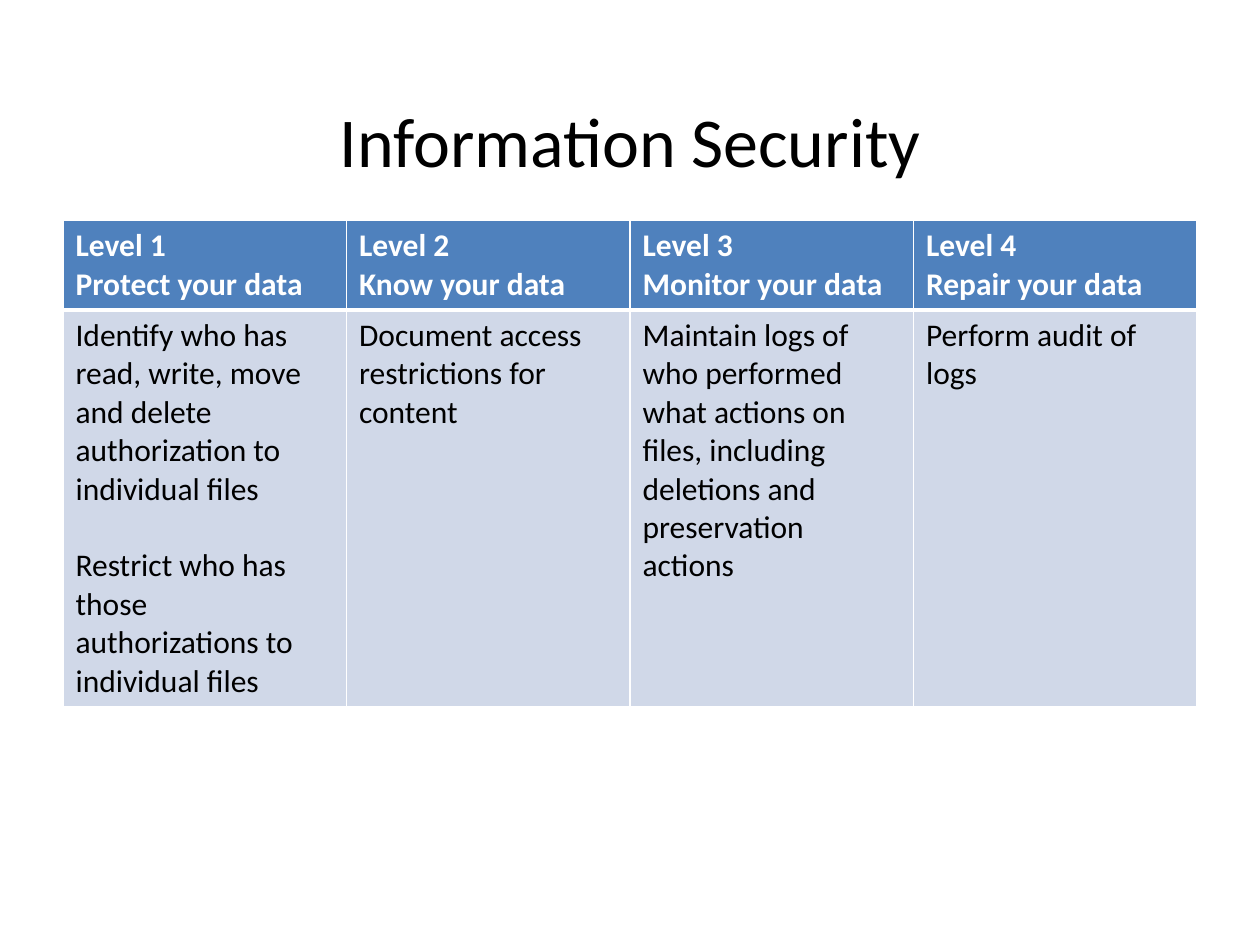
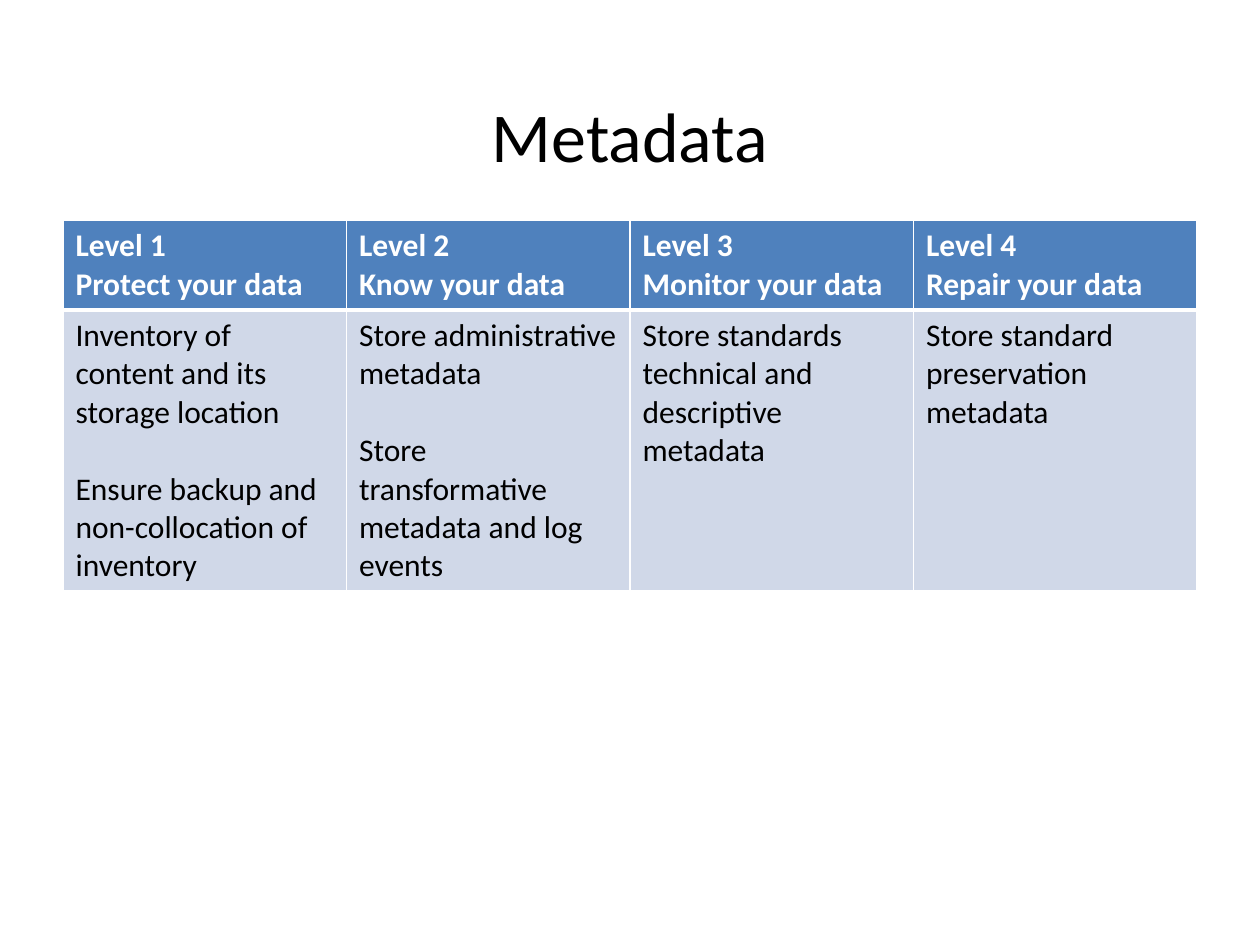
from lxml import etree
from pptx import Presentation
from pptx.dml.color import RGBColor
from pptx.enum.text import MSO_ANCHOR, PP_ALIGN
from pptx.oxml.ns import qn
from pptx.util import Inches, Pt

MIDDLE = MSO_ANCHOR.MIDDLE
CENTER = PP_ALIGN.CENTER

FONT = "Calibri"
COLORS = {"text": "000000", "header": "4F81BD", "body": "D0D8E8", "white": "FFFFFF"}
TITLE_SIZE, CELL_SIZE, ITEM_GAP = 40, 18, 22
LEFT, WIDTH, TABLE_TOP, HEADER_HEIGHT = 0.5, 9, 1.75, 0.71
HEADER_BORDERS = {"L": 1, "R": 1, "T": 1, "B": 3}
BODY_BORDERS = {"L": 1, "R": 1, "T": 3, "B": 1}

LEVELS = [
    ["Level 1", "Protect your data"],
    ["Level 2", "Know your data"],
    ["Level 3", "Monitor your data"],
    ["Level 4", "Repair your data"],
]

SLIDES = [
    {
        "title": "Information Security",
        "title_top": 0.67,
        "title_height": 0.88,
        "body_height": 3.15,
        "actions": [
            ["Identify who has read, write, move and delete authorization to individual files",
             "Restrict who has those authorizations to individual files"],
            ["Document access restrictions for content"],
            ["Maintain logs of who performed what actions on files, including deletions "
             "and preservation actions"],
            ["Perform audit of logs"],
        ],
    },
    {
        "title": "Metadata",
        "title_top": 0.58,
        "title_height": 0.97,
        "body_height": 2.23,
        "actions": [
            ["Inventory of content and its storage location",
             "Ensure backup and non-collocation of inventory"],
            ["Store administrative metadata",
             "Store transformative metadata and log events"],
            ["Store standards technical and descriptive metadata"],
            ["Store standard preservation metadata"],
        ],
    },
]


def add_run(p, text, size, color, bold=False):
    r = p.add_run()
    r.text = text
    r.font.name = FONT
    r.font.size = Pt(size)
    r.font.bold = bold
    r.font.color.rgb = RGBColor.from_string(COLORS[color])


def add_title(s, text, top, height):
    sp = s.shapes.add_textbox(Inches(LEFT), Inches(top), Inches(WIDTH), Inches(height))
    tf = sp.text_frame
    tf.word_wrap = True
    tf.vertical_anchor = MIDDLE
    p = tf.paragraphs[0]
    p.alignment = CENTER
    add_run(p, text, TITLE_SIZE, "text")


def set_borders(cell, borders):
    tcPr = cell._tc.get_or_add_tcPr()
    for i, (side, width) in enumerate(borders.items()):
        ln = etree.Element(qn(f"a:ln{side}"), w=str(Pt(width)))
        fill = etree.SubElement(ln, qn("a:solidFill"))
        etree.SubElement(fill, qn("a:srgbClr"), val=COLORS["white"])
        tcPr.insert(i, ln)


def fill_cell(cell, lines, fill, color, borders, bold=False, gap=0):
    cell.fill.solid()
    cell.fill.fore_color.rgb = RGBColor.from_string(COLORS[fill])
    set_borders(cell, borders)
    tf = cell.text_frame
    for i, line in enumerate(lines):
        p = tf.add_paragraph() if i else tf.paragraphs[0]
        if i and gap:
            p.space_before = Pt(gap)
        add_run(p, line, CELL_SIZE, color, bold)


def add_levels_table(s, actions, body_height):
    table = s.shapes.add_table(
        2, len(LEVELS), Inches(LEFT), Inches(TABLE_TOP),
        Inches(WIDTH), Inches(HEADER_HEIGHT + body_height)).table
    table.rows[0].height = Inches(HEADER_HEIGHT)
    table.rows[1].height = Inches(body_height)
    for col, (level, items) in enumerate(zip(LEVELS, actions)):
        table.columns[col].width = Inches(WIDTH / len(LEVELS))
        fill_cell(table.cell(0, col), level, "header", "white", HEADER_BORDERS, bold=True)
        fill_cell(table.cell(1, col), items, "body", "text", BODY_BORDERS, gap=ITEM_GAP)


def main():
    prs = Presentation()
    prs.slide_width, prs.slide_height = Inches(10), Inches(7.5)
    for content in SLIDES:
        s = prs.slides.add_slide(prs.slide_layouts[6])
        add_title(s, content["title"], content["title_top"], content["title_height"])
        add_levels_table(s, content["actions"], content["body_height"])
    prs.save("out.pptx")


if __name__ == "__main__":
    main()
